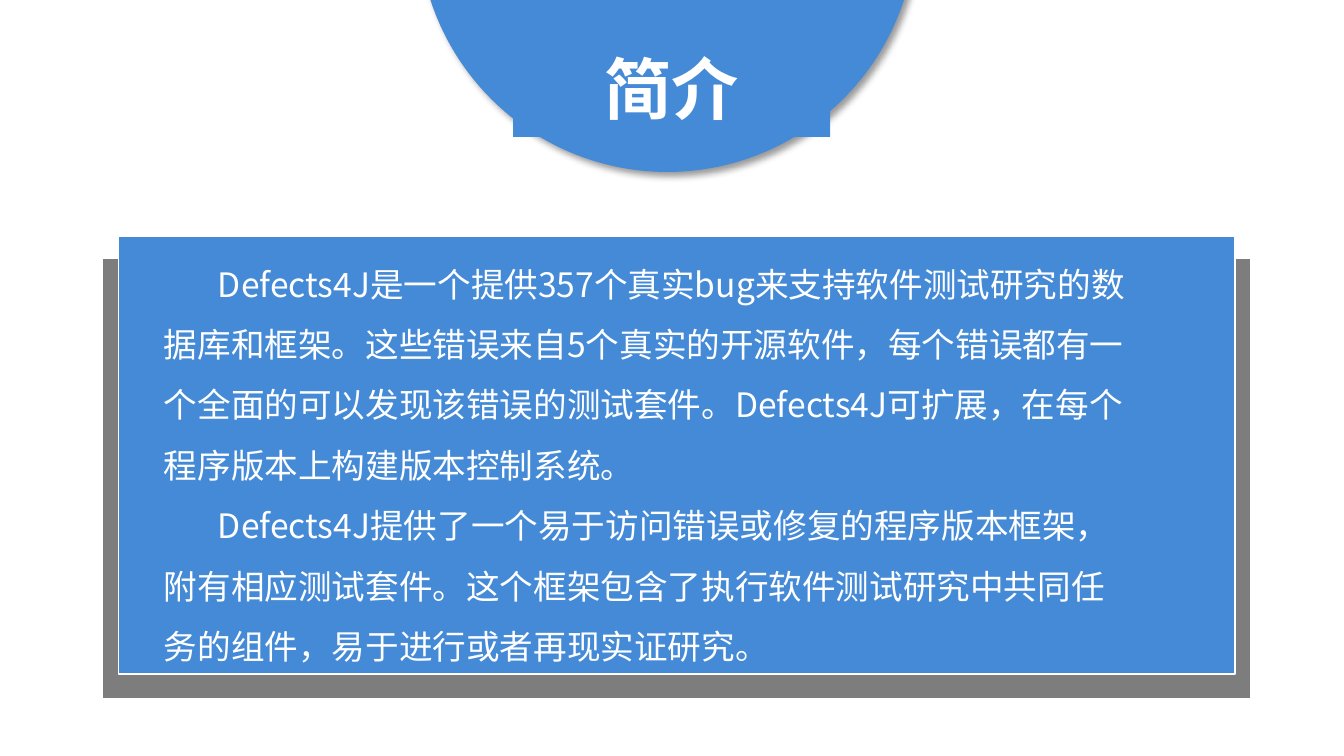
from lxml import etree
from pptx import Presentation
from pptx.dml.color import RGBColor
from pptx.enum.shapes import MSO_SHAPE as Shape
from pptx.enum.text import MSO_ANCHOR as Anchor, MSO_AUTO_SIZE as AutoSize, PP_ALIGN as Align
from pptx.oxml import parse_xml
from pptx.oxml.ns import nsdecls, qn
from pptx.util import Cm, Pt

FONT = "Noto Sans CJK SC"
BLUE = "448AD7"
WHITE = "FFFFFF"


def add_block(shapes, kind, left, top, width, height, fill, line=None):
    block = shapes.add_shape(kind, Cm(left), Cm(top), Cm(width), Cm(height))
    block.shadow.inherit = False
    block.fill.solid()
    block.fill.fore_color.rgb = RGBColor.from_string(fill)
    if line:
        block.line.color.rgb = RGBColor.from_string(line)
        block.line.width = Pt(1)
    else:
        block.line.fill.background()
    return block


def style_text(para, size, bold=False):
    for span in para.runs:
        span.font.size = Pt(size)
        span.font.bold = bold
        span.font.name = FONT
        span.font.color.rgb = RGBColor.from_string(WHITE)
        etree.SubElement(span.font._element, qn("a:ea")).set("typeface", FONT)


deck = Presentation()
deck.slide_width = Cm(25.4)
deck.slide_height = Cm(14.29)
page = deck.slides.add_slide(deck.slide_layouts[6])

backing = add_block(page.shapes, Shape.RECTANGLE, 1.93, 4.88, 21.72, 8.33, "595959", WHITE)
grey = backing.fill._xPr.find(qn("a:solidFill"))[0]
etree.SubElement(grey, qn("a:alpha")).set("val", "78000")
add_block(page.shapes, Shape.RECTANGLE, 2.24, 4.47, 21.11, 8.28, BLUE, WHITE)

paragraphs = [
    "Defects4J是一个提供357个真实bug来支持软件测试研究的数据库和框架。"
    "这些错误来自5个真实的开源软件，每个错误都有一个全面的可以发现该错误的测试套件。"
    "Defects4J可扩展，在每个程序版本上构建版本控制系统。",
    "Defects4J提供了一个易于访问错误或修复的程序版本框架，附有相应测试套件。"
    "这个框架包含了执行软件测试研究中共同任务的组件，易于进行或者再现实证研究。",
]
box = page.shapes.add_textbox(Cm(2.9), Cm(4.5), Cm(18.62), Cm(10.06))
frame = box.text_frame
frame.word_wrap = True
frame.margin_left = frame.margin_right = Cm(0.2)
frame.margin_top = frame.margin_bottom = Cm(0.1)
frame.text = "\n".join(paragraphs)
for para in frame.paragraphs:
    para.line_spacing = Pt(32.4)
    para._p.get_or_add_pPr().set("indent", str(Cm(1.02)))
    style_text(para, 18)

header = page.shapes.add_group_shape()
circle = add_block(header.shapes, Shape.OVAL, 7.9, -6.2, 9.42, 9.45, BLUE)
effects = circle._element.spPr.find(qn("a:effectLst"))
effects.append(parse_xml(
    f'<a:outerShdw {nsdecls("a")} blurRad="{Pt(4)}" dist="{Pt(3)}" dir="2700000" algn="tl" rotWithShape="0">'
    '<a:srgbClr val="000000"><a:alpha val="40000"/></a:srgbClr></a:outerShdw>'
))

title = add_block(header.shapes, Shape.RECTANGLE, 9.7, 0.71, 5.99, 1.88, BLUE)
frame = title.text_frame
frame.word_wrap = True
frame.auto_size = AutoSize.NONE
frame.vertical_anchor = Anchor.MIDDLE
frame.margin_left = frame.margin_right = Cm(0.33)
frame.margin_top = frame.margin_bottom = Cm(0.18)
frame.text = "简介"
frame.paragraphs[0].alignment = Align.CENTER
style_text(frame.paragraphs[0], 36, True)

deck.save("out.pptx")
